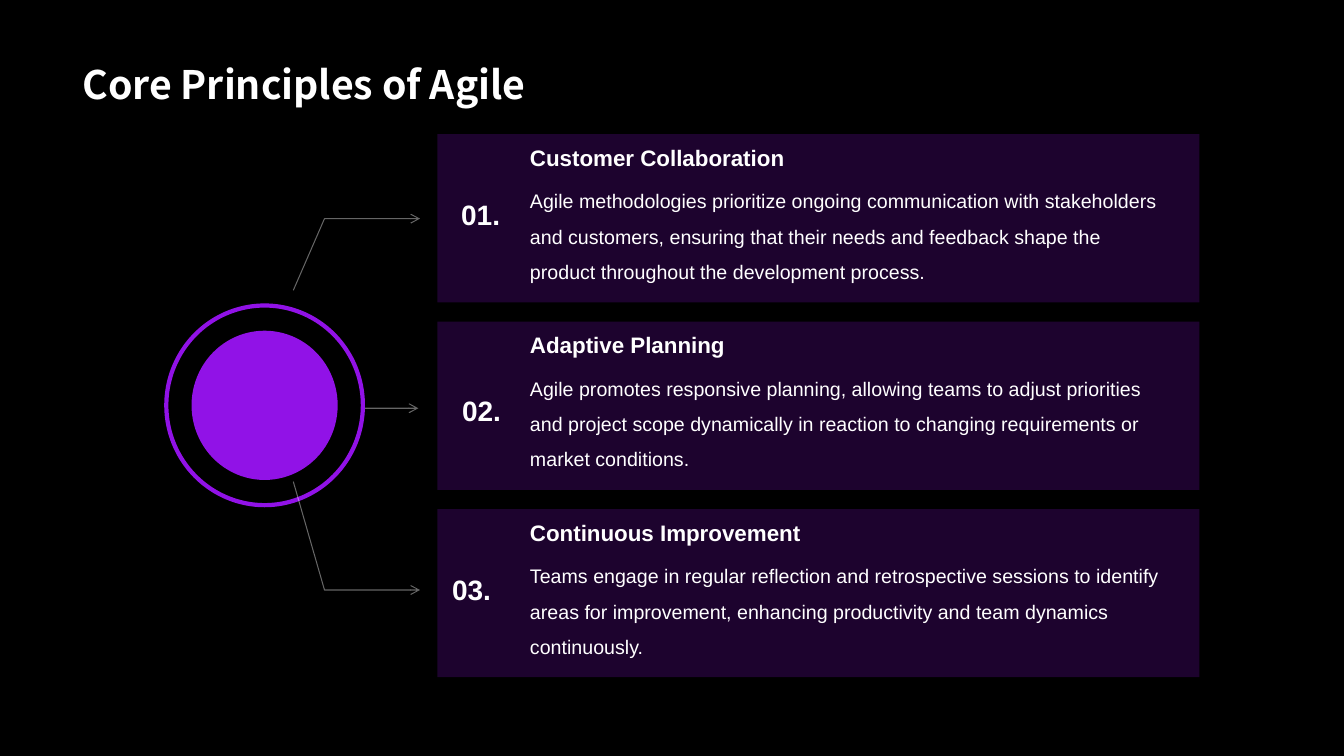
from dataclasses import dataclass

from pptx import Presentation
from pptx.dml.color import RGBColor as RGB
from pptx.enum.shapes import MSO_CONNECTOR as Connector, MSO_SHAPE as Shape
from pptx.enum.text import MSO_ANCHOR as Anchor, MSO_AUTO_SIZE as AutoSize, PP_ALIGN as Align
from pptx.oxml.ns import qn
from pptx.util import Pt
from lxml.etree import SubElement


@dataclass(frozen=True)
class Theme:
    background: RGB = RGB(0, 0, 0)
    accent: RGB = RGB(0x91, 0x12, 0xE7)
    text: RGB = RGB(0xFF, 0xFF, 0xFF)
    card_alpha: int = 20
    arrow_alpha: int = 40
    title_font: str = "Noto Sans CJK SC"
    body_font: str = "Arial"
    title_size: int = 28
    number_size: int = 20
    heading_size: int = 16
    body_size: int = 14
    ring_width: float = 3
    arrow_width: float = 0.75


THEME = Theme()
CARD_LEFT, CARD_TOP, CARD_WIDTH, CARD_HEIGHT = 312.5, 95.8, 544.3, 120.2
CARD_STEP = 133.9

# Heading, body, number and the number's offset inside its card
PRINCIPLES = [
    ("Customer Collaboration",
     "Agile methodologies prioritize ongoing communication with stakeholders and customers, "
     "ensuring that their needs and feedback shape the product throughout the development process.",
     "01.", (7.2, 41.7)),
    ("Adaptive Planning",
     "Agile promotes responsive planning, allowing teams to adjust priorities and project scope "
     "dynamically in reaction to changing requirements or market conditions.",
     "02.", (7.9, 47.5)),
    ("Continuous Improvement",
     "Teams engage in regular reflection and retrospective sessions to identify areas for "
     "improvement, enhancing productivity and team dynamics continuously.",
     "03.", (0.7, 41.8)),
]


def set_alpha(s, percent):
    """Make the single colour of a shape partly transparent."""
    color = next(s.element.spPr.iter(qn("a:srgbClr")))
    SubElement(color, qn("a:alpha"), val=str(percent * 1000))


def add_text(slide, box, text, size, bold=False, font=THEME.body_font, anchor=Anchor.MIDDLE,
             align=Align.LEFT, spacing=None, auto_size=AutoSize.SHAPE_TO_FIT_TEXT):
    tf = slide.shapes.add_textbox(*map(Pt, box)).text_frame
    tf.word_wrap = True
    tf.auto_size = auto_size
    tf.vertical_anchor = anchor
    p = tf.paragraphs[0]
    p.text = text
    p.alignment = align
    p.line_spacing = spacing
    p.font.name = font
    p.font.size = Pt(size)
    p.font.bold = bold
    p.font.color.rgb = THEME.text


def add_plain_shape(slide, kind, box):
    s = slide.shapes.add_shape(kind, *map(Pt, box))
    s.shadow.inherit = False
    s.fill.background()
    s.line.fill.background()
    return s


def add_title(slide, box):
    add_text(slide, box, "Core Principles of Agile", THEME.title_size, bold=True,
             font=THEME.title_font, anchor=Anchor.BOTTOM, spacing=0.9, auto_size=AutoSize.NONE)


def add_hub(slide, box):
    """Draw a disc centred inside a ring that fills the box."""
    x, y, w, h = box
    gap = 18
    disc = add_plain_shape(slide, Shape.OVAL, (x + gap, y + gap, w - 2 * gap, h - 2 * gap))
    disc.fill.solid()
    disc.fill.fore_color.rgb = THEME.accent
    ring = add_plain_shape(slide, Shape.OVAL, box)
    ring.line.color.rgb = THEME.accent
    ring.line.width = Pt(THEME.ring_width)


def add_card(slide, box, heading, body, number, number_offset):
    x, y, w, h = box
    panel = add_plain_shape(slide, Shape.RECTANGLE, box)
    panel.fill.solid()
    panel.fill.fore_color.rgb = THEME.accent
    set_alpha(panel, THEME.card_alpha)

    text_left, text_width = x + 59, w - 72
    add_text(slide, (text_left, y + 3.2, text_width, 26.7), heading, THEME.heading_size, bold=True)
    add_text(slide, (text_left, y + 27.5, text_width, 58.3), body, THEME.body_size,
             anchor=Anchor.TOP, spacing=1.5)
    dx, dy = number_offset
    add_text(slide, (x + dx, y + dy, 44.6, 31.5), number, THEME.number_size, bold=True,
             align=Align.RIGHT)


def style_arrow(s):
    s.line.color.rgb = THEME.text
    s.line.width = Pt(THEME.arrow_width)
    set_alpha(s, THEME.arrow_alpha)
    SubElement(s.line._get_or_add_ln(), qn("a:tailEnd"), type="arrow")


def add_straight_arrow(slide, start, end):
    s = slide.shapes.add_connector(Connector.STRAIGHT, *map(Pt, start + end))
    style_arrow(s)
    SubElement(s.element.spPr, qn("a:effectLst"))


def add_bent_arrow(slide, start, end):
    """Draw a slanted stroke from start, then a level one to end."""
    (x1, y1), (x2, y2) = start, end
    builder = slide.shapes.build_freeform(Pt(x1), Pt(y1))
    builder.add_line_segments([(Pt(x1 + 22.3), Pt(y2)), (Pt(x2), Pt(y2))], close=False)
    s = builder.convert_to_shape()
    s.shadow.inherit = False
    s.fill.background()
    style_arrow(s)


def build_principles_slide(prs):
    slide = prs.slides.add_slide(prs.slide_layouts[6])
    slide.background.fill.solid()
    slide.background.fill.fore_color.rgb = THEME.background

    add_title(slide, (51.8, 0, 855.4, 80.6))
    add_straight_arrow(slide, (258.5, 291.6), (298.8, 291.6))
    add_hub(slide, (118.8, 218.2, 140.4, 142.6))
    for i, principle in enumerate(PRINCIPLES):
        box = (CARD_LEFT, CARD_TOP + i * CARD_STEP, CARD_WIDTH, CARD_HEIGHT)
        add_card(slide, box, *principle)
    add_bent_arrow(slide, (209.5, 207.4), (300, 156.2))
    add_bent_arrow(slide, (209.5, 344), (300, 421.4))


def main():
    prs = Presentation()
    prs.slide_width, prs.slide_height = Pt(960), Pt(540)
    build_principles_slide(prs)
    prs.save("out.pptx")


if __name__ == "__main__":
    main()
